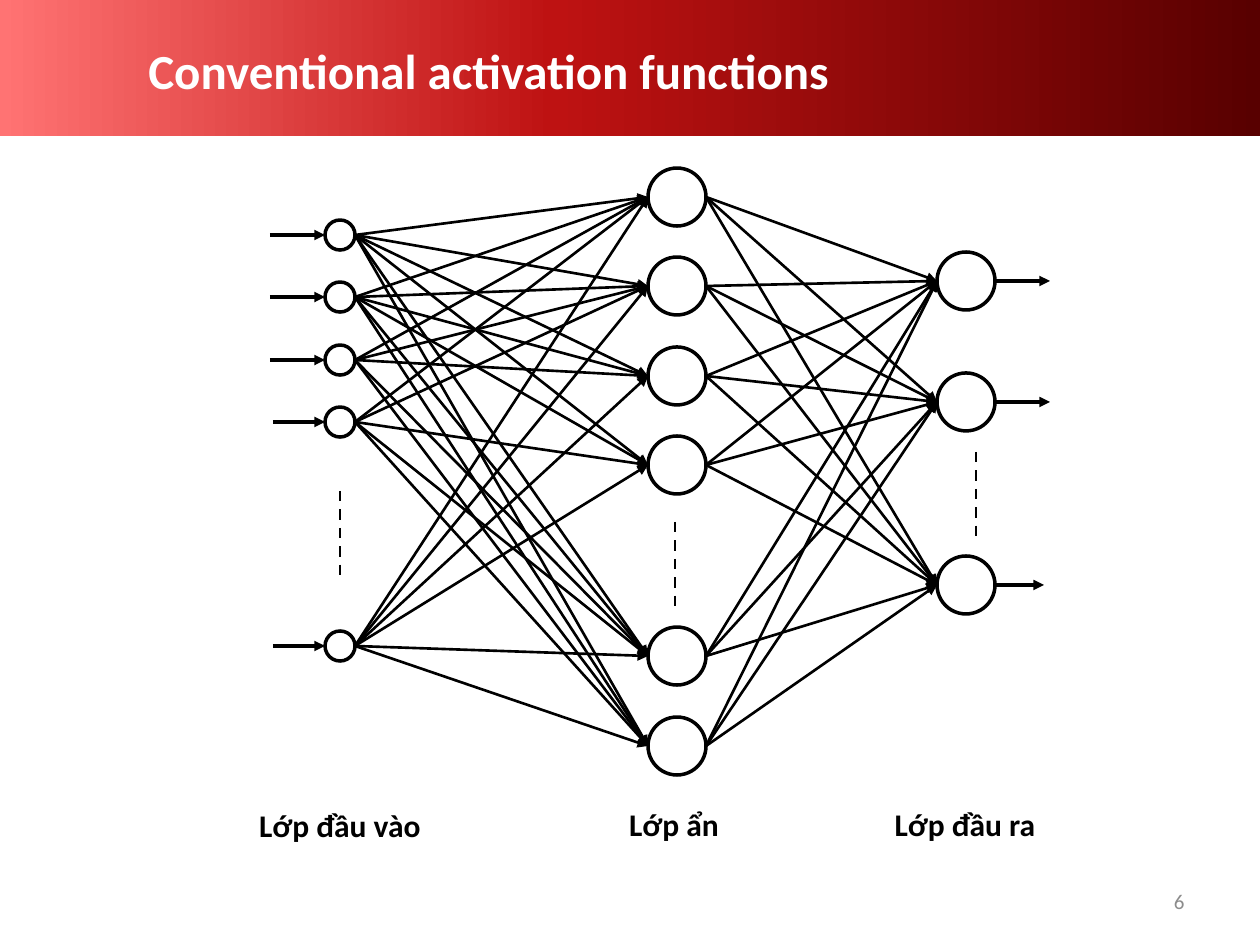
from copy import deepcopy
from itertools import product
from lxml.etree import SubElement
from pptx import Presentation
from pptx.dml.color import RGBColor
from pptx.enum.dml import MSO_LINE
from pptx.enum.shapes import MSO_CONNECTOR, MSO_SHAPE
from pptx.enum.text import MSO_ANCHOR, PP_ALIGN
from pptx.oxml.ns import qn
from pptx.util import Pt

SCALE = 914400 / 126
COLORS = {
    "ink": "000000", "title": "FFFFFF", "number": "8C8C8C",
    "light": "FF7373", "red": "BE1212", "dark": "580000",
}


def px(*lengths):
    return [round(length * SCALE) for length in lengths]


def add_line(start, end, width, arrow=True):
    line = slide.shapes.add_connector(MSO_CONNECTOR.STRAIGHT, *px(*start, *end))
    line.line.color.rgb = RGBColor.from_string(COLORS["ink"])
    line.line.width = Pt(width)
    if arrow:
        SubElement(line.line._get_or_add_ln(), qn("a:tailEnd"), type="triangle")
    else:
        line.line.dash_style = MSO_LINE.DASH
    SubElement(line._element.spPr, qn("a:effectLst"))


prs = Presentation()
prs.slide_width, prs.slide_height = px(1260, 945)
slide = prs.slides.add_slide(prs.slide_layouts[6])

header = slide.shapes.add_shape(MSO_SHAPE.RECTANGLE, *px(0, 0, 1260, 136))
header.shadow.inherit = False
header.line.fill.background()
header.fill.gradient()
header.fill.gradient_angle = 0
stop_list = header._element.spPr.find(qn("a:gradFill")).find(qn("a:gsLst"))
stop_list.append(deepcopy(stop_list[0]))
gradient = [(0, "light"), (0.44, "red"), (1, "dark")]
for stop, (position, color) in zip(header.fill.gradient_stops, gradient):
    stop.position = position
    stop.color.rgb = RGBColor.from_string(COLORS[color])

input_ys = [235, 297, 360, 422, 646]
hidden_ys = [197, 286, 376, 465, 656, 746]
output_ys = [281, 402, 585]
layers = [(340, 30, input_ys), (677, 58, hidden_ys), (966, 58, output_ys)]

for center, size, ys in layers:
    for y in ys:
        neuron = slide.shapes.add_shape(
            MSO_SHAPE.OVAL, *px(center - size / 2, y - size / 2, size, size))
        neuron.shadow.inherit = False
        neuron.fill.background()
        neuron.line.color.rgb = RGBColor.from_string(COLORS["ink"])
        neuron.line.width = Pt(2)

unlinked = [(360, 465), (422, 376)]
for (x1, size1, ys1), (x2, size2, ys2) in zip(layers, layers[1:]):
    for y1, y2 in product(ys1, ys2):
        if (y1, y2) not in unlinked:
            add_line((x1 + size1 / 2, y1), (x2 - size2 / 2, y2), 1.5)

for start, y in zip([270, 270, 270, 273, 273], input_ys):
    add_line((start, y), (325, y), 2)
for end, y in zip([1050, 1050, 1044], output_ys):
    add_line((995, y), (end, y), 2)
for x, top in [(340, 491), (675, 522), (976, 452)]:
    add_line((x, top), (x, top + 84), 1.5, arrow=False)

texts = [
    ("Conventional activation functions", (136, 21, 1061, 98), 28, True,
     "title", PP_ALIGN.LEFT, MSO_ANCHOR.MIDDLE),
    ("6", (903, 876, 294, 50), 12, False,
     "number", PP_ALIGN.RIGHT, MSO_ANCHOR.MIDDLE),
]
for label, left, top in [("Lớp đầu vào", 235, 800), ("Lớp ẩn", 569, 799),
                         ("Lớp đầu ra", 860, 799)]:
    texts.append((label, (left, top, 210, 50), 18, True,
                  "ink", PP_ALIGN.CENTER, MSO_ANCHOR.TOP))

for text, place, size, bold, color, align, anchor in texts:
    frame = slide.shapes.add_textbox(*px(*place)).text_frame
    frame.word_wrap = True
    frame.vertical_anchor = anchor
    paragraph = frame.paragraphs[0]
    paragraph.alignment = align
    run = paragraph.add_run()
    run.text = text
    run.font.color.rgb = RGBColor.from_string(COLORS[color])
    for attribute, value in {"name": "Calibri", "size": Pt(size), "bold": bold}.items():
        setattr(run.font, attribute, value)

prs.save("out.pptx")
